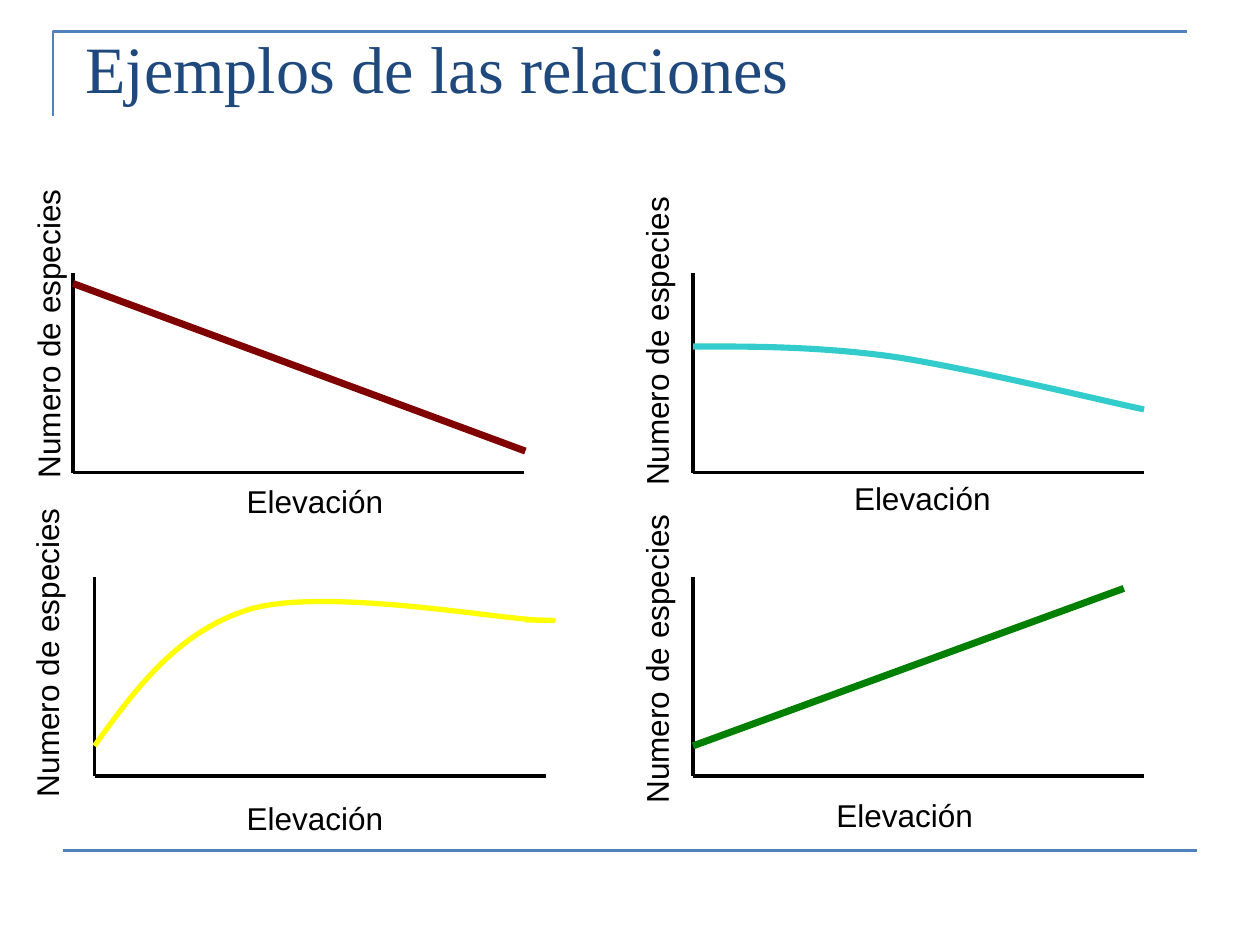
from lxml import etree
from pptx import Presentation
from pptx.dml.color import RGBColor
from pptx.enum import shapes, text
from pptx.oxml.ns import qn
from pptx.util import Inches, Pt

COLORS = {
    "rule": "4F81BD", "title": "1F497D", "ink": "000000", "maroon": "800000",
    "turquoise": "33CCCC", "yellow": "FFFF00", "green": "008000",
}
PLOT_W, PLOT_H = 3.58, 1.58
LABEL_H = 0.4
Y_LABEL_W = 2.71

# Curves are a start point followed by cubic segments (two controls, one end),
# in inches from the top left corner of the plot.
# x_label is left, top, width; y_label is the centre of the turned label.
PLOTS = [
    dict(box=(0.58, 2.17), color="maroon", width=4, line=((0, 0.08), (3.59, 1.41)),
         x_label=(1.28, 1.61, 1.47), y_label=(-0.2, 0.37)),
    dict(box=(5.5, 2.17), color="turquoise", width=3.5,
         curve=[(0, 0.58), (0.49, 0.58), (0.99, 0.58), (1.58, 0.66),
                (2.18, 0.75), (3.25, 1.01), (3.58, 1.08)],
         x_label=(1.18, 1.58, 1.4), y_label=(-0.29, 0.43)),
    dict(box=(0.75, 4.58), color="yellow", width=3,
         curve=[(0, 1.34), (0.33, 0.88), (0.67, 0.42), (1.25, 0.25),
                (1.83, 0.09), (3.14, 0.32), (3.5, 0.34),
                (3.86, 0.35), (3.42, 0.34), (3.42, 0.34)],
         x_label=(1.11, 1.71, 1.47), y_label=(-0.38, 0.49)),
    dict(box=(5.5, 4.58), color="green", width=4, line=((0, 1.34), (3.42, 0.09)),
         x_label=(1.04, 1.69, 1.44), y_label=(-0.29, 0.54)),
]


def rgb(name):
    return RGBColor.from_string(COLORS[name])


def add_line(s, start, end, color, width):
    cx = s.shapes.add_connector(shapes.MSO_CONNECTOR.STRAIGHT,
                                *(Inches(v) for v in (*start, *end)))
    cx.line.color.rgb = rgb(color)
    cx.line.width = Pt(width)
    etree.SubElement(cx._element.spPr, qn("a:effectLst"))


def add_path(s, points, color, width):
    """Draw an open, unfilled outline through the points."""
    start, *rest = [(Inches(x), Inches(y)) for x, y in points]
    fb = s.shapes.build_freeform(*start)
    fb.add_line_segments(rest, close=False)
    sp = fb.convert_to_shape()
    sp.shadow.inherit = False
    sp.fill.background()
    sp.line.color.rgb = rgb(color)
    sp.line.width = Pt(width)


def add_text(s, box, words, font, size, color, rotation=0):
    sp = s.shapes.add_textbox(*(Inches(v) for v in box))
    sp.rotation = rotation
    tf = sp.text_frame
    tf.word_wrap = True
    tf.vertical_anchor = text.MSO_ANCHOR.TOP
    r = tf.paragraphs[0].add_run()
    r.text = words
    r.font.name = font
    r.font.size = Pt(size)
    r.font.color.rgb = rgb(color)


def bezier_points(nodes, steps=24):
    """Sample a chain of cubic Bezier segments."""
    points = [nodes[0]]
    for i in range(0, len(nodes) - 1, 3):
        segment = nodes[i:i + 4]
        for n in range(1, steps + 1):
            t = n / steps
            weights = ((1 - t) ** 3, 3 * t * (1 - t) ** 2, 3 * t * t * (1 - t), t ** 3)
            points.append(tuple(sum(w * p[axis] for w, p in zip(weights, segment))
                                for axis in (0, 1)))
    return points


def add_header(s, left, top, width):
    add_path(s, [(left, top + 0.67), (left, top), (left + width, top)], "rule", 1.5)
    add_text(s, (left + 0.16, top - 0.08, 8.25, 1.24), "Ejemplos de las relaciones",
             "Times New Roman", 37.8, "title")


def add_plot(s, box, color, width, x_label, y_label, line=None, curve=None):
    left, top = box

    def place(point):
        return left + point[0], top + point[1]

    origin = place((0, PLOT_H))
    add_line(s, box, origin, "ink", 2)
    add_line(s, origin, place((PLOT_W, PLOT_H)), "ink", 2)
    if line:
        add_line(s, place(line[0]), place(line[1]), color, width)
    else:
        add_path(s, [place(p) for p in bezier_points(curve)], color, width)

    add_text(s, (*place(x_label), x_label[2], LABEL_H), "Elevación", "Arial", 18, "ink")
    x, y = place(y_label)
    add_text(s, (x - Y_LABEL_W / 2, y - LABEL_H / 2, Y_LABEL_W, LABEL_H),
             "Numero de especies", "Arial", 18, "ink", rotation=270)


def main():
    prs = Presentation()
    prs.slide_width, prs.slide_height = Inches(10), Inches(7.5)
    s = prs.slides.add_slide(prs.slide_layouts[6])
    add_header(s, 0.42, 0.25, 9)
    add_line(s, (0.5, 6.75), (9.5, 6.75), "rule", 1.5)
    for plot in PLOTS:
        add_plot(s, **plot)
    prs.save("out.pptx")


if __name__ == "__main__":
    main()
